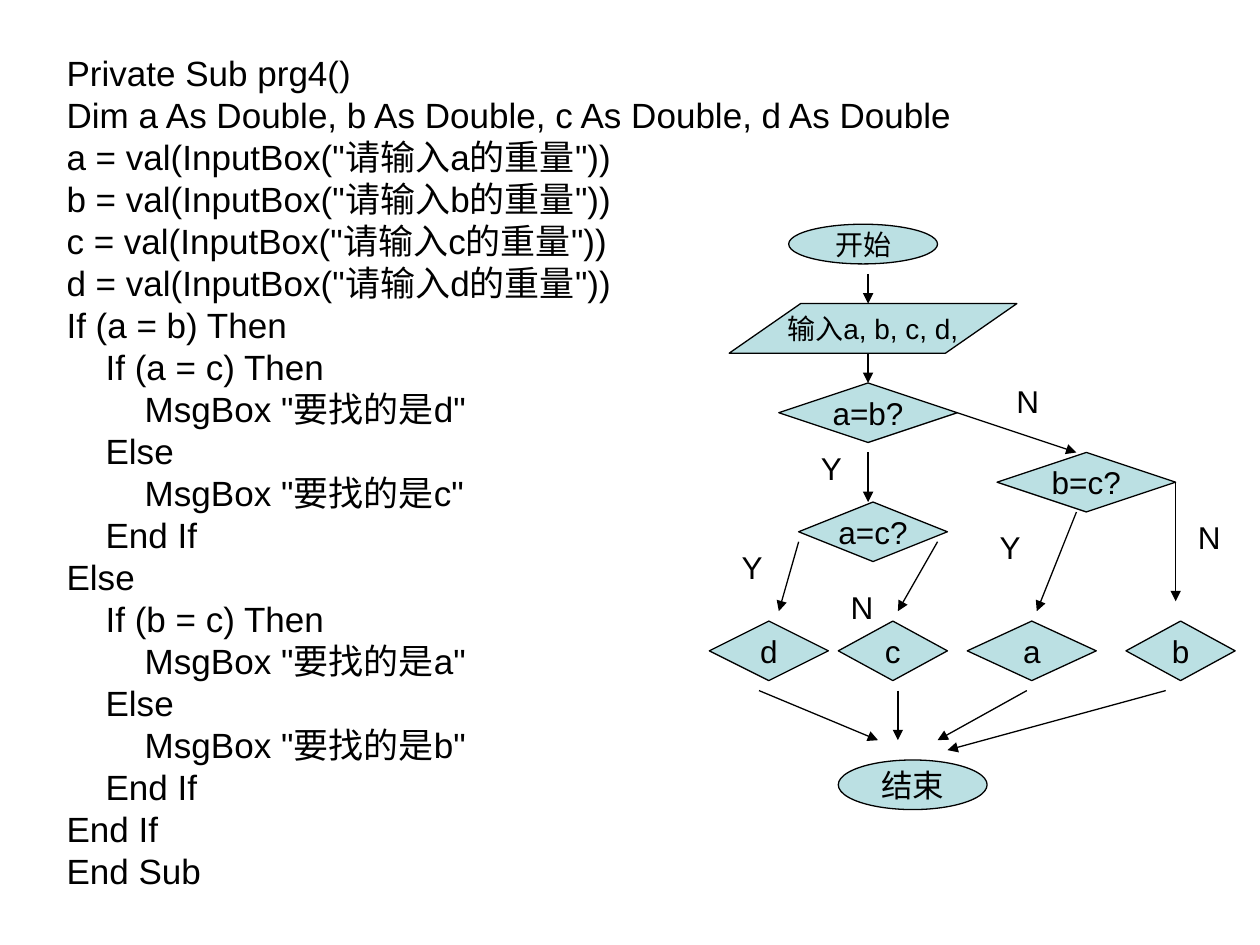
from typing import NamedTuple

from lxml import etree
from pptx import Presentation
from pptx.dml.color import RGBColor
from pptx.enum.shapes import MSO_CONNECTOR, MSO_SHAPE
from pptx.enum.text import MSO_ANCHOR, MSO_AUTO_SIZE, PP_ALIGN
from pptx.oxml.ns import qn
from pptx.util import Inches, Mm, Pt

OVAL = MSO_SHAPE.OVAL
SLANT = MSO_SHAPE.PARALLELOGRAM
GEM = MSO_SHAPE.DIAMOND
LINE = MSO_CONNECTOR.STRAIGHT
MID = MSO_ANCHOR.MIDDLE
GROW = MSO_AUTO_SIZE.SHAPE_TO_FIT_TEXT
LEFT, MEAN = PP_ALIGN.LEFT, PP_ALIGN.CENTER

FONT, INK, FILL = "Arial", "000000", "BBE0E3"
WIDE, HIGH = Inches(10), Inches(7.5)
CELL = Mm(2)  # flow chart grid
LEFT_X, TOP_Y = Inches(5.63), Inches(1.78)  # grid origin
TAB = Inches(0.31)  # one level of code indent


class Node(NamedTuple):
    text: str
    kind: int
    col: float
    row: float
    cols: float
    rows: float
    size: int = 18


class Arrow(NamedTuple):
    col: float
    row: float
    to_col: float
    to_row: float


class Label(NamedTuple):
    text: str
    col: float
    row: float
    cols: float = 3


# Code lines with their indent level
CODE = [
    (0, "Private Sub prg4()"),
    (0, "Dim a As Double, b As Double, c As Double, d As Double"),
    *[(0, f'{name} = val(InputBox("请输入{name}的重量"))') for name in "abcd"],
    (0, "If (a = b) Then"),
    (1, "If (a = c) Then"),
    (2, 'MsgBox "要找的是d"'),
    (1, "Else"),
    (2, 'MsgBox "要找的是c"'),
    (1, "End If"),
    (0, "Else"),
    (1, "If (b = c) Then"),
    (2, 'MsgBox "要找的是a"'),
    (1, "Else"),
    (2, 'MsgBox "要找的是b"'),
    (1, "End If"),
    (0, "End If"),
    (0, "End Sub"),
]

NODES = [
    Node("开始", OVAL, 8, 0, 15, 4, 16),
    Node("输入a, b, c, d,", SLANT, 2, 8, 29, 5, 16),
    Node("a=b?", GEM, 7, 16, 18, 6),
    Node("b=c?", GEM, 29, 23, 18, 6),
    Node("a=c?", GEM, 9, 28, 15, 6),
    Node("d", GEM, 0, 40, 12, 6),
    Node("c", GEM, 13, 40, 11, 6),
    Node("a", GEM, 26, 40, 13, 6),
    Node("b", GEM, 42, 40, 11, 6),
    Node("结束", OVAL, 13, 54, 15, 5),
]

ARROWS = [
    Arrow(16, 5, 16, 8),
    Arrow(16, 13, 16, 16),
    Arrow(16, 23, 16, 28),
    Arrow(25, 19, 37, 23),
    Arrow(9, 32, 7, 39),
    Arrow(23, 32, 19, 39),
    Arrow(37, 29, 33, 39),
    Arrow(47, 26, 47, 38),
    Arrow(5, 47, 17, 52),
    Arrow(19, 47, 19, 52),
    Arrow(32, 47, 23, 52),
    Arrow(46, 47, 24, 53),
]

LABELS = [
    Label("N", 29.7, 15.25, 5),
    Label("Y", 10, 22),
    Label("Y", 2, 32, 4),
    Label("N", 13, 36),
    Label("Y", 28, 30),
    Label("N", 48, 29),
]


def tint(code: str) -> RGBColor:
    return RGBColor.from_string(code)


def grid(col: float, row: float) -> tuple[int, int]:
    return int(LEFT_X + col * CELL), int(TOP_Y + row * CELL)


def write(para, text: str, size: int, align=LEFT) -> None:
    para.alignment = align
    run = para.add_run()
    run.text = text
    run.font.name = FONT
    run.font.size = Pt(size)
    run.font.color.rgb = tint(INK)


def draw_code(slide) -> None:
    box = slide.shapes.add_textbox(
        int(WIDE * 0.043), int(HIGH * 0.048), int(WIDE * 0.728), int(HIGH * 0.903))
    frame = box.text_frame
    frame.word_wrap = False
    frame.auto_size = GROW
    for i, (level, text) in enumerate(CODE):
        para = frame.add_paragraph() if i else frame.paragraphs[0]
        write(para, text, 20)
        para._p.get_or_add_pPr().set("marL", str(level * TAB))


def draw_node(slide, node: Node) -> None:
    shape = slide.shapes.add_shape(
        node.kind, *grid(node.col, node.row),
        int(node.cols * CELL), int(node.rows * CELL))
    if node.kind == SLANT:
        shape.adjustments[0] = 1.44
    shape.shadow.inherit = False
    shape.fill.solid()
    shape.fill.fore_color.rgb = tint(FILL)
    shape.line.color.rgb = tint(INK)
    shape.line.width = Pt(0.75)
    frame = shape.text_frame
    frame.word_wrap = False
    frame.vertical_anchor = MID
    write(frame.paragraphs[0], node.text, node.size, MEAN)


def draw_arrow(slide, arrow: Arrow) -> None:
    link = slide.shapes.add_connector(
        LINE, *grid(arrow.col, arrow.row), *grid(arrow.to_col, arrow.to_row))
    link.line.color.rgb = tint(INK)
    link.line.width = Pt(0.75)
    etree.SubElement(link.line._get_or_add_ln(), qn("a:tailEnd"), type="triangle")
    etree.SubElement(link._element.spPr, qn("a:effectLst"))


def draw_label(slide, label: Label) -> None:
    box = slide.shapes.add_textbox(
        *grid(label.col, label.row), int(label.cols * CELL), Inches(0.4))
    box.text_frame.word_wrap = True
    write(box.text_frame.paragraphs[0], label.text, 18)


def main() -> None:
    deck = Presentation()
    deck.slide_width, deck.slide_height = WIDE, HIGH
    slide = deck.slides.add_slide(deck.slide_layouts[6])

    # Program on the left
    draw_code(slide)

    # Flow chart on the right
    for node in NODES:
        draw_node(slide, node)
    for arrow in ARROWS:
        draw_arrow(slide, arrow)
    for label in LABELS:
        draw_label(slide, label)

    deck.save("out.pptx")


if __name__ == "__main__":
    main()
